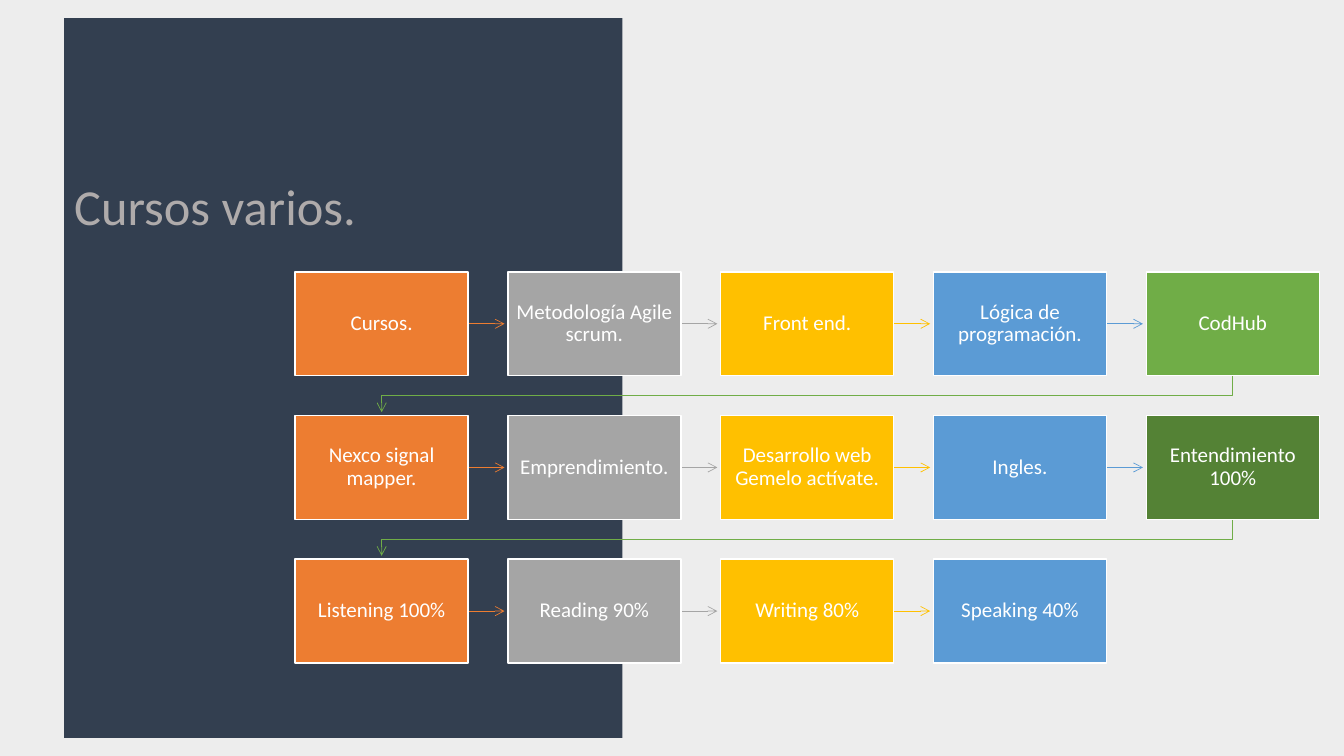
from dataclasses import dataclass
from lxml.etree import SubElement
from pptx import Presentation
from pptx.dml.color import RGBColor as Rgb
from pptx.enum.shapes import MSO_CONNECTOR as Link, MSO_SHAPE as Kind
from pptx.enum.text import MSO_ANCHOR as Anchor, MSO_AUTO_SIZE as Auto, PP_ALIGN as Align
from pptx.oxml.ns import qn
from pptx.util import Pt


@dataclass(frozen=True)
class Theme:
    """Colours, type sizes and line widths of the slide."""
    font: str = "Calibri"
    back: str = "EDEDED"
    panel: str = "333F50"
    head: str = "AFABAB"
    white: str = "FFFFFF"
    turn: str = "70AD47"
    cols: tuple = ("ED7D31", "A5A5A5", "FFC000", "5B9BD5", "70AD47")
    deep: str = "548235"
    big: float = 36
    small: float = 15
    edge: float = 1
    thin: float = 0.5


def write(frame, text, font, size, color, align=Align.LEFT, anchor=Anchor.MIDDLE,
          pad=(0, 0, 0, 0)):
    """Fill a text frame with one formatted paragraph."""
    frame.word_wrap = True
    frame.auto_size = Auto.NONE
    frame.vertical_anchor = anchor
    (frame.margin_left, frame.margin_top,
     frame.margin_right, frame.margin_bottom) = map(Pt, pad)
    par = frame.paragraphs[0]
    par.alignment = align
    par.line_spacing = 0.9
    run = par.add_run()
    run.text = text
    run.font.name = font
    run.font.size = Pt(size)
    run.font.color.rgb = Rgb.from_string(color)


class Page:
    """Draws styled elements on the current slide."""

    def __init__(self, slide, theme):
        """Keep the slide and theme, and paint the background."""
        self.slide, self.theme = slide, theme
        self.paint(slide.background.fill, theme.back)

    def paint(self, fill, color):
        """Set a solid fill."""
        fill.solid()
        fill.fore_color.rgb = Rgb.from_string(color)

    def title(self, text, left, top, width, height, pad):
        """Place and format the title on its dark panel."""
        box = self.slide.shapes.title
        box.left, box.top, box.width, box.height = map(Pt, (left, top, width, height))
        self.paint(box.fill, self.theme.panel)
        write(box.text_frame, text, self.theme.font, self.theme.big, self.theme.head,
              anchor=Anchor.BOTTOM, pad=pad)

    def box(self, text, left, top, width, height, color):
        """Add a filled step with centred text."""
        box = self.slide.shapes.add_shape(Kind.RECTANGLE, *map(Pt, (left, top, width, height)))
        box.shadow.inherit = False
        self.paint(box.fill, color)
        self.paint(box.line.fill, self.theme.white)
        box.line.width = Pt(self.theme.edge)
        write(box.text_frame, text, self.theme.font, self.theme.small, self.theme.white,
              align=Align.CENTER, pad=(6, 6.5, 6, 6.5))

    def tip(self, shape, color):
        """Style a line and give it an open arrowhead."""
        self.paint(shape.line.fill, color)
        shape.line.width = Pt(self.theme.thin)
        SubElement(shape._element.spPr.find(qn("a:ln")), qn("a:tailEnd"), type="arrow")

    def arrow(self, left, top, right, color):
        """Add a level arrow."""
        link = self.slide.shapes.add_connector(Link.STRAIGHT, *map(Pt, (left, top, right, top)))
        self.tip(link, color)
        SubElement(link._element.spPr, qn("a:effectLst"))

    def bend(self, dots, color):
        """Add an arrow through several points."""
        first, *rest = [(Pt(x), Pt(y)) for x, y in dots]
        path = self.slide.shapes.build_freeform(*first)
        path.add_line_segments(rest, close=False)
        shape = path.convert_to_shape()
        shape.shadow.inherit = False
        shape.fill.background()
        self.tip(shape, color)


ROWS = (
    ("Cursos.", "Metodología Agile scrum.", "Front end.", "Lógica de programación.", "CodHub"),
    ("Nexco signal mapper.", "Emprendimiento.", "Desarrollo web Gemelo actívate.", "Ingles.",
     "Entendimiento 100%"),
    ("Listening 100%", "Reading 90%", "Writing 80%", "Speaking 40%"),
)
LEFT, TOP, WIDE, HIGH = 210.8, 194.2, 123.6, 74.2
STEP, DROP, REACH = 152, 102.6, 26


def main():
    """Build and save the slide."""
    deck = Presentation()
    deck.slide_width, deck.slide_height = Pt(960), Pt(540)
    theme = Theme()
    page = Page(deck.slides.add_slide(deck.slide_layouts[5]), theme)
    page.title("Cursos varios.", 45.8, 13, 398.8, 514, pad=(7.2, 3.6, 7.2, 358))
    for row, names in enumerate(ROWS):
        top = TOP + row * DROP
        base = top + HIGH
        for col, name in enumerate(names):
            left = LEFT + col * STEP
            right = left + WIDE
            color = theme.cols[col]
            if col < len(names) - 1:
                page.arrow(right, top + HIGH / 2, right + REACH, color)
            elif row < len(ROWS) - 1:
                start, end, mid = left + WIDE / 2, LEFT + WIDE / 2, base + DROP / 2 - HIGH / 2
                page.bend([(start, base), (start, mid), (end, mid), (end, base + REACH)],
                          theme.turn)
            last = row == 1 and col == 4
            page.box(name, left, top, WIDE, HIGH, theme.deep if last else color)
    deck.save("out.pptx")


if __name__ == "__main__":
    main()
